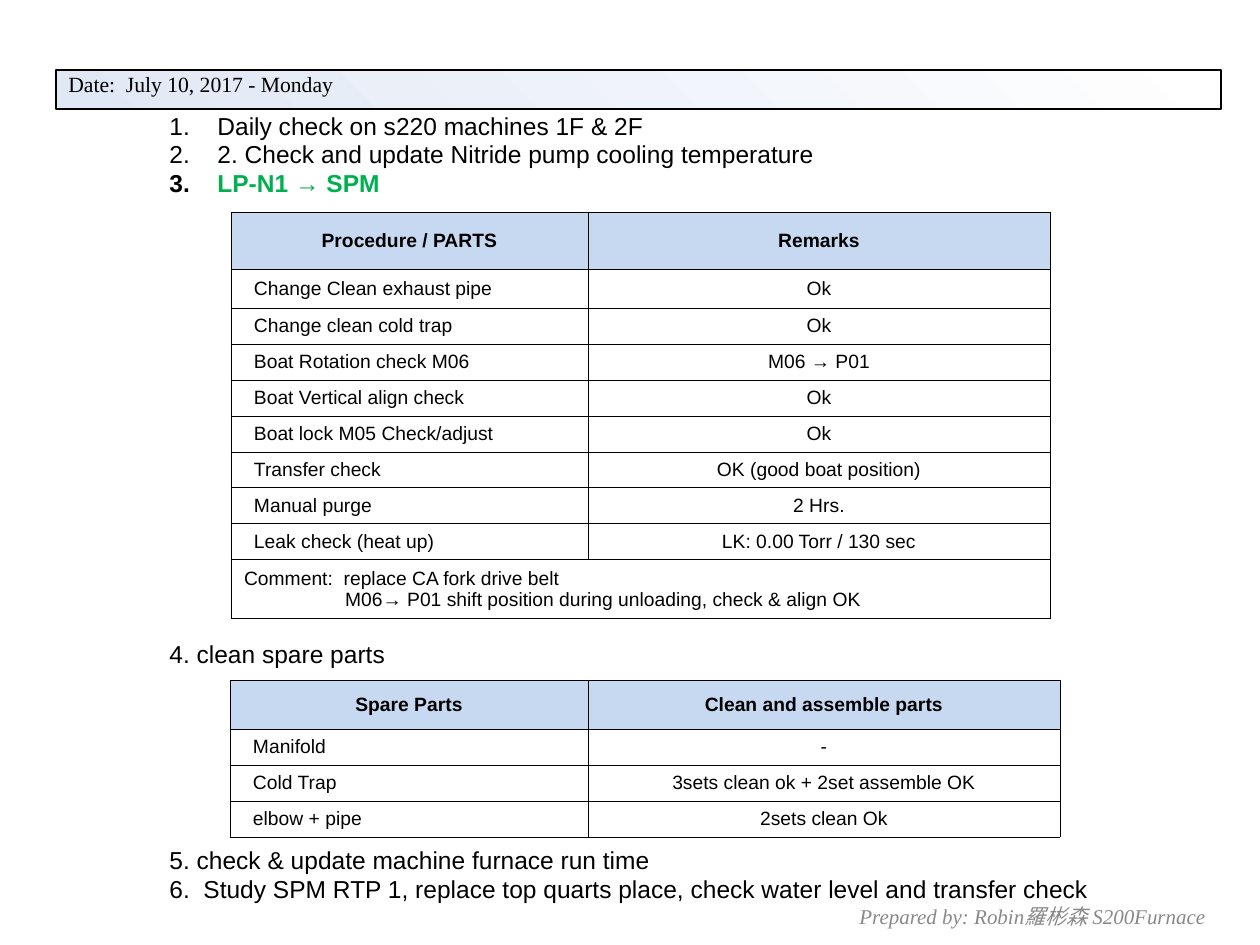
from dataclasses import dataclass

from lxml.etree import SubElement
from pptx import Presentation
from pptx.dml.color import RGBColor
from pptx.enum.shapes import MSO_SHAPE as Shape
from pptx.enum.text import MSO_ANCHOR as Anchor, PP_ALIGN as Align
from pptx.oxml import parse_xml
from pptx.oxml.ns import nsdecls, qn
from pptx.util import Emu, Pt

EMU_PER_PX = 914400 / 126
BLACK, WHITE, GREEN, GREY = "000000", "FFFFFF", "00B050", "898989"
HEADER_BLUE, BAR_BLUE = "C6D9F1", "E1E8F5"
SANS, SERIF = "Arial", "Times New Roman"
INSET = 13  # side margin of a table cell


@dataclass(frozen=True)
class Box:
    x: int
    y: int
    w: int
    h: int


@dataclass(frozen=True)
class Task:
    text: str
    gap: float = 0  # points left free above, for the table in between
    numbered: bool = False
    color: str = BLACK
    bold: bool = False


@dataclass(frozen=True)
class Checklist:
    x: int
    y: int
    cols: tuple[int, ...]
    heights: tuple[int, ...]
    rows: tuple[tuple[str, str], ...]
    comment: tuple[str, ...] = ()


TASKS = (
    Task("Daily check on s220 machines 1F & 2F", numbered=True),
    Task("2. Check and update Nitride pump cooling temperature", numbered=True),
    Task("LP-N1 → SPM", numbered=True, color=GREEN, bold=True),
    Task("4. clean spare parts", gap=252.5),
    Task("5. check & update machine furnace run time", gap=101),
    Task("6.  Study SPM RTP 1, replace top quarts place, check water level and transfer check"),
)

PROCEDURE = Checklist(
    231, 212, (357, 462), (57, 39, *[36] * 7, 59),
    (("Procedure / PARTS", "Remarks"),
     ("Change Clean exhaust pipe", "Ok"),
     ("Change clean cold trap", "Ok"),
     ("Boat Rotation check M06", "M06 → P01"),
     ("Boat Vertical align check", "Ok"),
     ("Boat lock M05 Check/adjust", "Ok"),
     ("Transfer check", "OK (good boat position)"),
     ("Manual purge", "2 Hrs."),
     ("Leak check (heat up)", "LK: 0.00 Torr / 130 sec")),
    ("Comment:  replace CA fork drive belt",
     "M06→ P01 shift position during unloading, check & align OK"),
)
SPARES = Checklist(
    230, 680, (358, 472), (49, 36, 36, 36),
    (("Spare Parts", "Clean and assemble parts"),
     ("Manifold", "-"),
     ("Cold Trap", "3sets clean ok + 2set assemble OK"),
     ("elbow + pipe", "2sets clean Ok")),
)


def px(n: int) -> Emu:
    return Emu(round(n * EMU_PER_PX))


def rgb(color: str) -> RGBColor:
    return RGBColor.from_string(color)


def add_run(p, text: str, size: float, font: str = SANS, color: str = BLACK,
            bold: bool = False, italic: bool = False) -> None:
    r = p.add_run()
    r.text = text
    f = r.font
    f.size, f.name, f.bold, f.italic = Pt(size), font, bold, italic
    f.color.rgb = rgb(color)


def add_textbox(slide, box: Box):
    sp = slide.shapes.add_textbox(px(box.x), px(box.y), px(box.w), px(box.h))
    sp.text_frame.word_wrap = True
    return sp.text_frame


def set_indent(p, left: int, first: int = 0) -> None:
    pPr = p._p.get_or_add_pPr()
    pPr.set("marL", str(px(left)))
    pPr.set("indent", str(px(first)))


def add_footer(slide) -> None:
    tf = add_textbox(slide, Box(847, 891, 399, 50))
    tf.vertical_anchor = Anchor.MIDDLE
    add_run(tf.paragraphs[0], "Prepared by: Robin羅彬森 S200Furnace", 12, SERIF, GREY, italic=True)


def add_date_bar(slide, box: Box) -> None:
    sp = slide.shapes.add_shape(Shape.RECTANGLE, px(box.x), px(box.y), px(box.w), px(box.h))
    sp.shadow.inherit = False
    sp.fill.gradient()
    sp.fill.gradient_angle = 225
    for stop, color in zip(sp.fill.gradient_stops, (WHITE, BAR_BLUE)):
        stop.color.rgb = rgb(color)
    sp.line.color.rgb = rgb(BLACK)
    sp.line.width = Pt(0.75)
    tf = sp.text_frame
    tf.vertical_anchor = Anchor.TOP
    p = tf.paragraphs[0]
    p.alignment = Align.LEFT
    p.line_spacing = 0.8
    add_run(p, "Date:  July 10, 2017 - Monday", 12.4, SERIF)


def add_tasks(slide, box: Box, tasks: tuple[Task, ...]) -> None:
    tf = add_textbox(slide, box)
    for i, task in enumerate(tasks):
        p = tf.paragraphs[0] if i == 0 else tf.add_paragraph()
        set_indent(p, 48, -48)
        p.line_spacing = Pt(16.5)
        if task.gap:
            p.space_before = Pt(task.gap)
        if task.numbered:
            pPr = p._p.get_or_add_pPr()
            bullet_color = SubElement(pPr, qn("a:buClr"))
            SubElement(bullet_color, qn("a:srgbClr"), val=BLACK)
            SubElement(pPr, qn("a:buFont"), typeface=SANS)
            SubElement(pPr, qn("a:buAutoNum"), type="arabicPeriod")
        add_run(p, task.text, 14, color=task.color, bold=task.bold)


def format_cell(cell, fill: str, left: int = INSET) -> None:
    cell.vertical_anchor = Anchor.MIDDLE
    cell.margin_left, cell.margin_right = px(left), px(INSET)
    cell.margin_top = cell.margin_bottom = px(5)
    cell.fill.solid()
    cell.fill.fore_color.rgb = rgb(fill)
    tcPr = cell._tc.get_or_add_tcPr()
    for i, side in enumerate(("lnL", "lnR", "lnT", "lnB")):
        tcPr.insert(i, parse_xml(
            f'<a:{side} {nsdecls("a")} w="{Pt(0.45)}"><a:solidFill>'
            f'<a:srgbClr val="{BLACK}"/></a:solidFill></a:{side}>'))


def add_checklist(slide, data: Checklist) -> None:
    frame = slide.shapes.add_table(len(data.heights), len(data.cols), px(data.x), px(data.y),
                                   px(sum(data.cols)), px(sum(data.heights)))
    table = frame.table
    table.first_row = table.horz_banding = False
    for col, width in zip(table.columns, data.cols):
        col.width = px(width)
    for row, height in zip(table.rows, data.heights):
        row.height = px(height)

    for i, texts in enumerate(data.rows):
        header = i == 0
        for j, text in enumerate(texts):
            cell = table.cell(i, j)
            label = j == 0 and not header
            format_cell(cell, HEADER_BLUE if header else WHITE, 23 if label else INSET)
            p = cell.text_frame.paragraphs[0]
            p.alignment = Align.LEFT if label else Align.CENTER
            add_run(p, text, 11, bold=header)

    # Comment row across both columns, later lines indented
    if data.comment:
        last = len(data.rows)
        for j in range(len(data.cols)):
            format_cell(table.cell(last, j), WHITE)
        cell = table.cell(last, 0)
        cell.merge(table.cell(last, len(data.cols) - 1))
        tf = cell.text_frame
        for i, text in enumerate(data.comment):
            p = tf.add_paragraph() if i else tf.paragraphs[0]
            set_indent(p, 101 if i else 0)
            add_run(p, text, 11)


def main() -> None:
    prs = Presentation()
    prs.slide_width, prs.slide_height = px(1260), px(945)
    slide = prs.slides.add_slide(prs.slide_layouts[6])
    add_footer(slide)
    add_date_bar(slide, Box(56, 70, 1165, 39))
    add_tasks(slide, Box(157, 105, 1030, 808), TASKS)
    for data in (PROCEDURE, SPARES):
        add_checklist(slide, data)
    prs.save("out.pptx")


if __name__ == "__main__":
    main()
